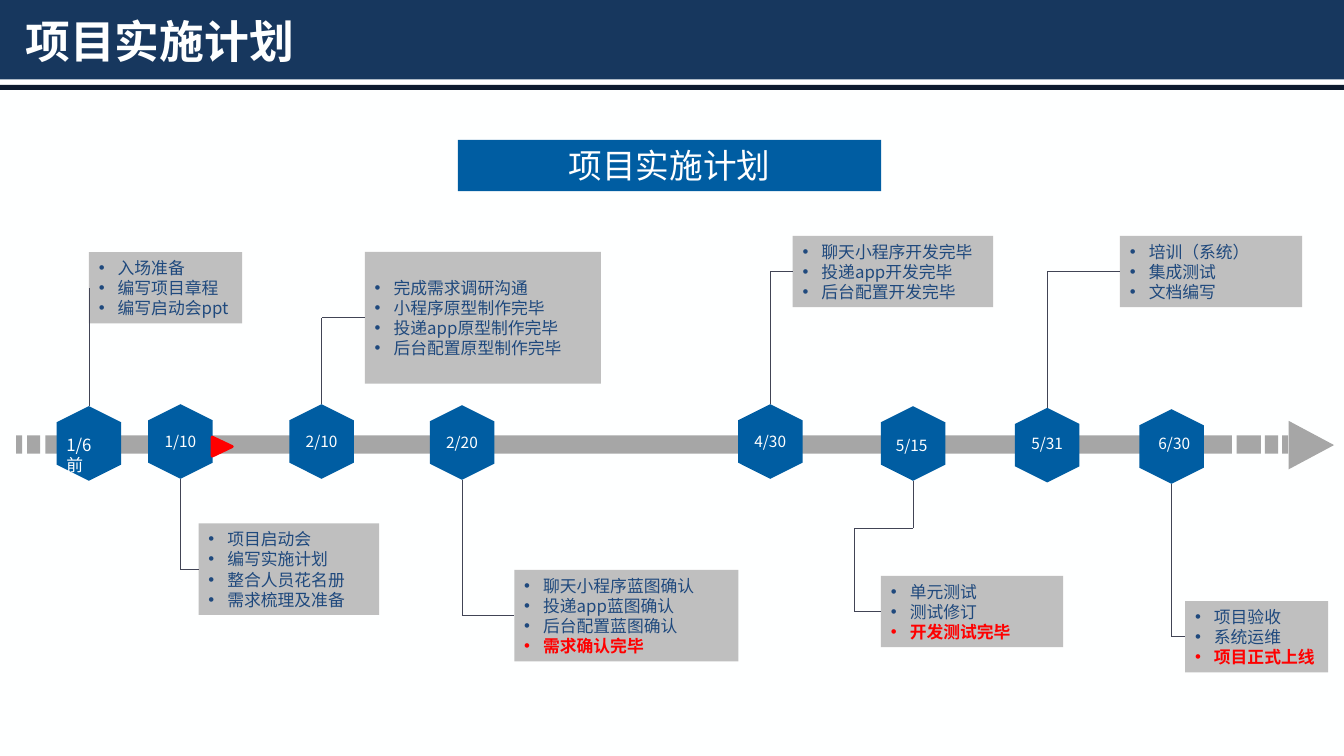
from dataclasses import dataclass
from itertools import pairwise

from lxml.etree import SubElement
from pptx import Presentation
from pptx.dml.color import RGBColor as Rgb
from pptx.enum.shapes import MSO_CONNECTOR as Link, MSO_SHAPE as Form
from pptx.enum.text import MSO_ANCHOR as Anchor, PP_ALIGN as Align
from pptx.oxml.ns import qn
from pptx.util import Pt


@dataclass(frozen=True)
class Theme:
    font: str = "Noto Sans CJK SC"
    back: str = "FEFFFF"
    navy: str = "17375E"
    dark: str = "0C1B2F"
    blue: str = "005DA2"
    track: str = "A6A6A6"
    panel: str = "BFBFBF"
    ink: str = "1F497D"
    wire: str = "414455"
    red: str = "FF0000"
    white: str = "FFFFFF"
    title: float = 32
    head: float = 24
    note: float = 12
    date: float = 11
    lead: float = 1.2  # line height per point of type


@dataclass(frozen=True)
class Box:
    x: float
    y: float
    w: float
    h: float


@dataclass(frozen=True)
class Stop:
    """One date on the track; dx and dy shift its label off the centre."""
    date: str
    x: float
    y: float
    note: Box
    lines: tuple[str, ...]
    key: bool = False  # last line is a milestone
    via: tuple[tuple[float, float], ...] = ()
    dx: float = 0
    dy: float = 0


look = Theme()
WIDE, HIGH = 960, 540
HEX_W, HEX_H = 53.3, 46.1  # before its quarter turn
STEM = HEX_W / 2
TRACK_Y, TRACK_H = 311, 13
DASHES = ((11.5, 4.3), (19.4, 9.4), (32.4, 17.3), (52.6, 827.3),
          (883.4, 17.3), (903.6, 9.4), (915.8, 4.3))

STOPS = (
    Stop("1/6前", 63.5, 316.8, Box(63.5, 180, 109.6, 51),
         ("入场准备", "编写项目章程", "编写启动会ppt")),
    Stop("1/10", 128.9, 315.4, Box(141.8, 373.9, 129, 65.4),
         ("项目启动会", "编写实施计划", "整合人员花名册", "需求梳理及准备")),
    Stop("2/10", 229.7, 315.4, Box(260.6, 180, 168.7, 94),
         ("完成需求调研沟通", "小程序原型制作完毕", "投递app原型制作完毕",
          "后台配置原型制作完毕")),
    Stop("2/20", 330, 316.1, Box(367.4, 407, 160, 65.4),
         ("聊天小程序蓝图确认", "投递app蓝图确认", "后台配置蓝图确认",
          "需求确认完毕"), key=True),
    Stop("4/30", 550.2, 315.4, Box(566.2, 168.5, 143.3, 51),
         ("聊天小程序开发完毕", "投递app开发完毕", "后台配置开发完毕")),
    Stop("5/15", 652.2, 316.8, Box(629.3, 411.3, 130.2, 51),
         ("单元测试", "测试修订", "开发测试完毕"), key=True,
         via=((652.2, 377.3), (610.5, 377.3)), dx=-1, dy=1),
    Stop("5/31", 748, 318, Box(800, 168.5, 130.2, 51),
         ("培训（系统）", "集成测试", "文档编写"), dy=-1),
    Stop("6/30", 836.8, 319, Box(846.5, 429.3, 102.2, 51),
         ("项目验收", "系统运维", "项目正式上线"), key=True, dx=2, dy=-2.5),
)

deck = Presentation()
deck.slide_width, deck.slide_height = Pt(WIDE), Pt(HIGH)
slide = deck.slides.add_slide(deck.slide_layouts[6])
slide.background.fill.solid()
slide.background.fill.fore_color.rgb = Rgb.from_string(look.back)
shapes = slide.shapes


def spot(box: Box) -> tuple:
    return Pt(box.x), Pt(box.y), Pt(box.w), Pt(box.h)


def block(box: Box, color: str, form=Form.RECTANGLE, turn: float = 0):
    item = shapes.add_shape(form, *spot(box))
    item.shadow.inherit = False
    item.fill.solid()
    item.fill.fore_color.rgb = Rgb.from_string(color)
    item.line.fill.background()
    item.rotation = turn
    return item


def add_run(para, text: str, size: float, color: str, bold: bool = False) -> None:
    run = para.add_run()
    run.text = text
    font = run.font
    font.name, font.size, font.bold = look.font, Pt(size), bold
    font.color.rgb = Rgb.from_string(color)
    SubElement(font._element, qn("a:ea")).set("typeface", look.font)


def frame(item):
    body = item.text_frame
    body.word_wrap = True
    body.vertical_anchor = Anchor.MIDDLE
    return body


def label(box: Box, text: str, size: float, color: str, align=Align.CENTER,
          bold: bool = False) -> None:
    para = frame(shapes.add_textbox(*spot(box))).paragraphs[0]
    para.alignment = align
    add_run(para, text, size, color, bold)


def panel(stop: Stop):
    item = block(stop.note, look.panel)
    body = frame(item)
    body.margin_right = 0
    for num, text in enumerate(stop.lines):
        para = body.paragraphs[0] if num == 0 else body.add_paragraph()
        para.alignment = Align.JUSTIFY
        para.line_spacing = Pt(look.note * look.lead)
        props = para._p.get_or_add_pPr()
        props.set("marL", str(Pt(13.5)))
        props.set("indent", str(-Pt(13.5)))
        SubElement(props, qn("a:buFont")).set("typeface", "Arial")
        SubElement(props, qn("a:buChar")).set("char", "•")
        hot = stop.key and num == len(stop.lines) - 1
        add_run(para, text, look.note, look.red if hot else look.ink, hot)
    return item


def wire(stop: Stop, item) -> None:
    """Lead from the hexagon's tip to the left side of its note."""
    note = stop.note
    mid = note.y + note.h / 2
    tip = stop.y + (STEM if mid > stop.y else -STEM)
    bend = stop.via[-1][0] if stop.via else stop.x
    route = [(stop.x, tip), *stop.via, (bend, mid)]
    if bend != note.x:
        route.append((note.x, mid))
    for (x1, y1), (x2, y2) in pairwise(route):
        leg = shapes.add_connector(Link.STRAIGHT, Pt(x1), Pt(y1), Pt(x2), Pt(y2))
        leg.line.width = Pt(0.5)
        leg.line.color.rgb = Rgb.from_string(look.wire)
        SubElement(leg._element.spPr, qn("a:effectLst"))
    leg.end_connect(item, 1)


# Page header
block(Box(0, 0, WIDE, 56.7), look.navy)
block(Box(0, 60.7, WIDE, 3.6), look.dark)
label(Box(11, 7.7, 937.5, 43.2), "项目实施计划", look.title, look.back,
      Align.LEFT, True)

# Banner
banner = Box(327, 100, 302.4, 36.5)
block(banner, look.blue)
label(banner, "项目实施计划", look.head, look.white)

# Track with its arrowhead
for left, width in DASHES:
    block(Box(left, TRACK_Y, width, TRACK_H), look.track)
block(Box(919.4, 301.7, 34.6, 32.4), look.track, Form.ISOSCELES_TRIANGLE, 90)

# Dates, leads and notes
for stop in STOPS:
    block(Box(stop.x - HEX_W / 2, stop.y - HEX_H / 2, HEX_W, HEX_H),
          look.blue, Form.HEXAGON, 90)
    wire(stop, panel(stop))
first, *rest = STOPS
label(Box(40.3, 304, 40, 42), first.date, look.note, look.back, Align.LEFT)
for stop in rest:
    label(Box(stop.x + stop.dx - 28.5, stop.y + stop.dy - 10, 57, 20),
          stop.date, look.date, look.white)

# Marker for the present day
flag = block(Box(151.9, 311.8, 13.7, 14.4), look.red, Form.ISOSCELES_TRIANGLE, 90)
flag.line.color.rgb = Rgb.from_string(look.red)
flag.line.width = Pt(2)

deck.save("out.pptx")
